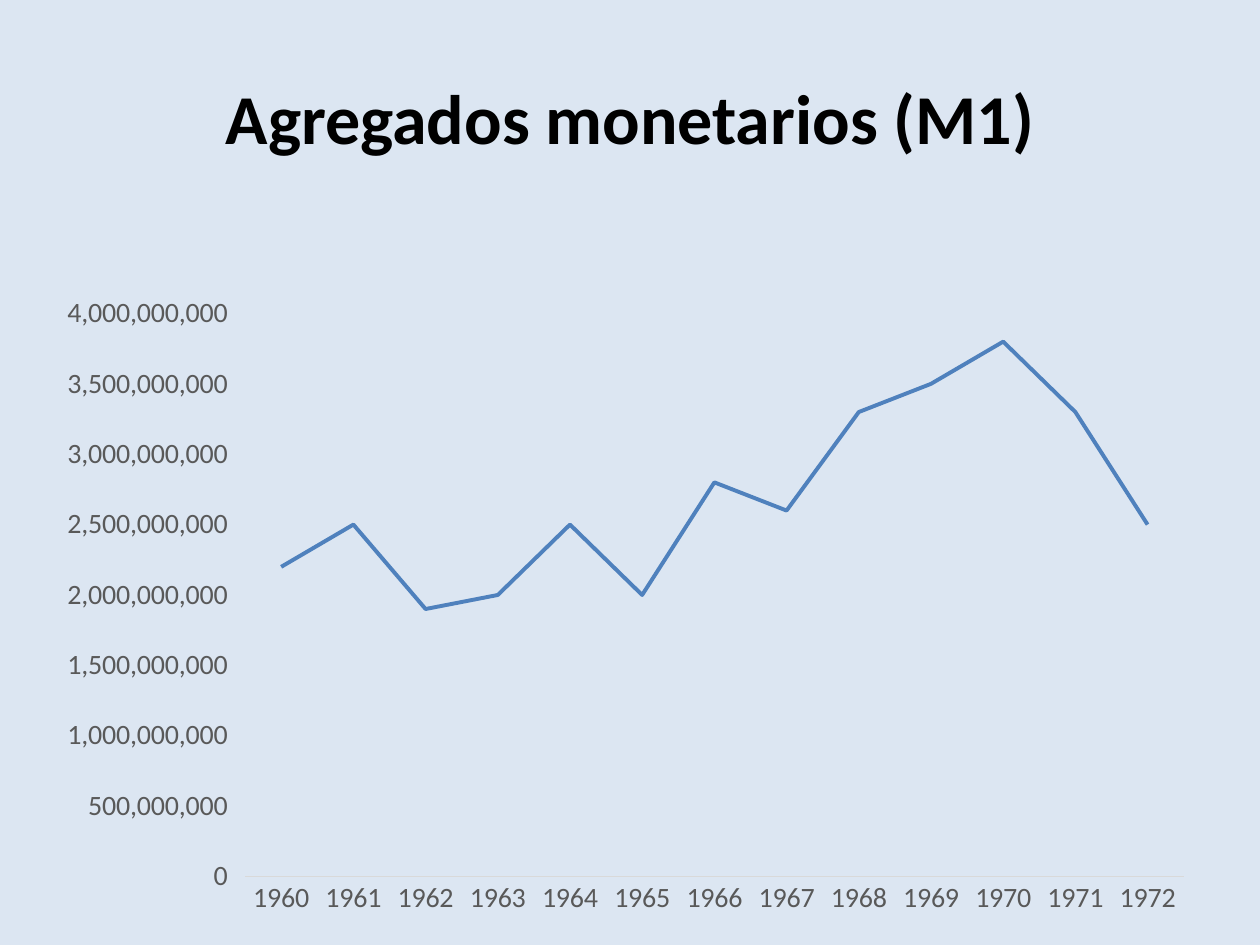
from pptx import Presentation
from pptx.chart.data import CategoryChartData as Data
from pptx.dml.color import RGBColor
from pptx.enum.chart import XL_CHART_TYPE as Kind, XL_TICK_MARK as Tick
from pptx.enum.text import MSO_ANCHOR as Anchor, PP_ALIGN as Align
from pptx.util import Pt

PALE = RGBColor(0xDC, 0xE6, 0xF2)
BLACK = RGBColor(0, 0, 0)
GREY = RGBColor(0x59, 0x59, 0x59)
RULE = RGBColor(0xD9, 0xD9, 0xD9)
BLUE = RGBColor(0x4F, 0x81, 0xBD)

YEARS = [str(year) for year in range(1960, 1973)]
MONEY = [n * 10**8 for n in (22, 25, 19, 20, 25, 20, 28, 26, 33, 35, 38, 33, 25)]


class Page:
    """Hold the type style and the slide being built."""

    def __init__(self, deck, face="Calibri"):
        self.face = face
        self.slide = deck.slides.add_slide(deck.slide_layouts[6])
        fill = self.slide.background.fill
        fill.solid()
        fill.fore_color.rgb = PALE

    def style(self, font, size, color, bold=False):
        font.name, font.size, font.bold = self.face, Pt(size), bold
        font.color.rgb = color

    def title(self, text, *area):
        frame = self.slide.shapes.add_textbox(*map(Pt, area)).text_frame
        frame.word_wrap = True
        frame.vertical_anchor = Anchor.MIDDLE
        para = frame.paragraphs[0]
        para.text = text
        para.alignment = Align.CENTER
        self.style(para.font, 40, BLACK, True)

    def axis(self, axis):
        axis.major_tick_mark = axis.minor_tick_mark = Tick.NONE
        axis.has_major_gridlines = False
        self.style(axis.tick_labels.font, 16, GREY)

    def chart(self, name, cats, vals, *area):
        data = Data()
        data.categories = cats
        data.add_series(name, vals)
        chart = self.slide.shapes.add_chart(Kind.LINE, *map(Pt, area), data).chart
        chart.has_title = chart.has_legend = False
        self.style(chart.font, 16, BLACK)

        years, scale = chart.category_axis, chart.value_axis
        self.axis(years)
        years.format.line.color.rgb = RULE
        years.format.line.width = Pt(0.75)
        self.axis(scale)
        scale.format.line.fill.background()
        scale.minimum_scale, scale.maximum_scale = 0, 4 * 10**9
        scale.major_unit = 5 * 10**8
        scale.tick_labels.number_format = r"#,##0\ \ "
        scale.tick_labels.number_format_is_linked = False

        plot = chart.plots[0]
        plot.vary_by_categories = False
        line = plot.series[0]
        line.smooth = False
        line.format.line.color.rgb = BLUE
        line.format.line.width = Pt(2.25)


def main():
    deck = Presentation()
    deck.slide_width, deck.slide_height = Pt(720), Pt(540)
    page = Page(deck)
    page.title("Agregados monetarios (M1)", 36, 21.6, 648, 90)
    page.chart("M1", YEARS, MONEY, 25.2, 162, 664.5, 368.6)
    deck.save("out.pptx")


if __name__ == "__main__":
    main()
